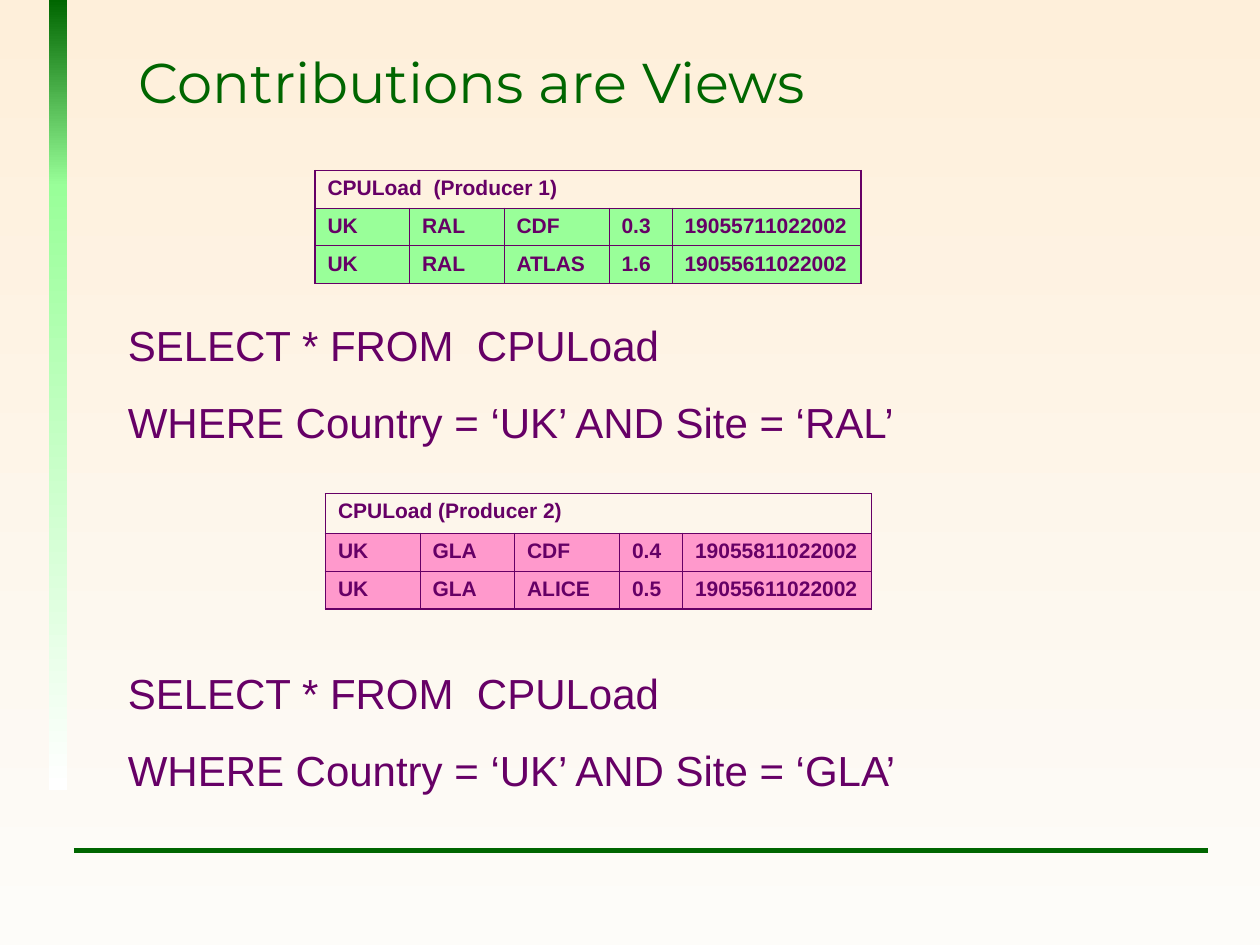
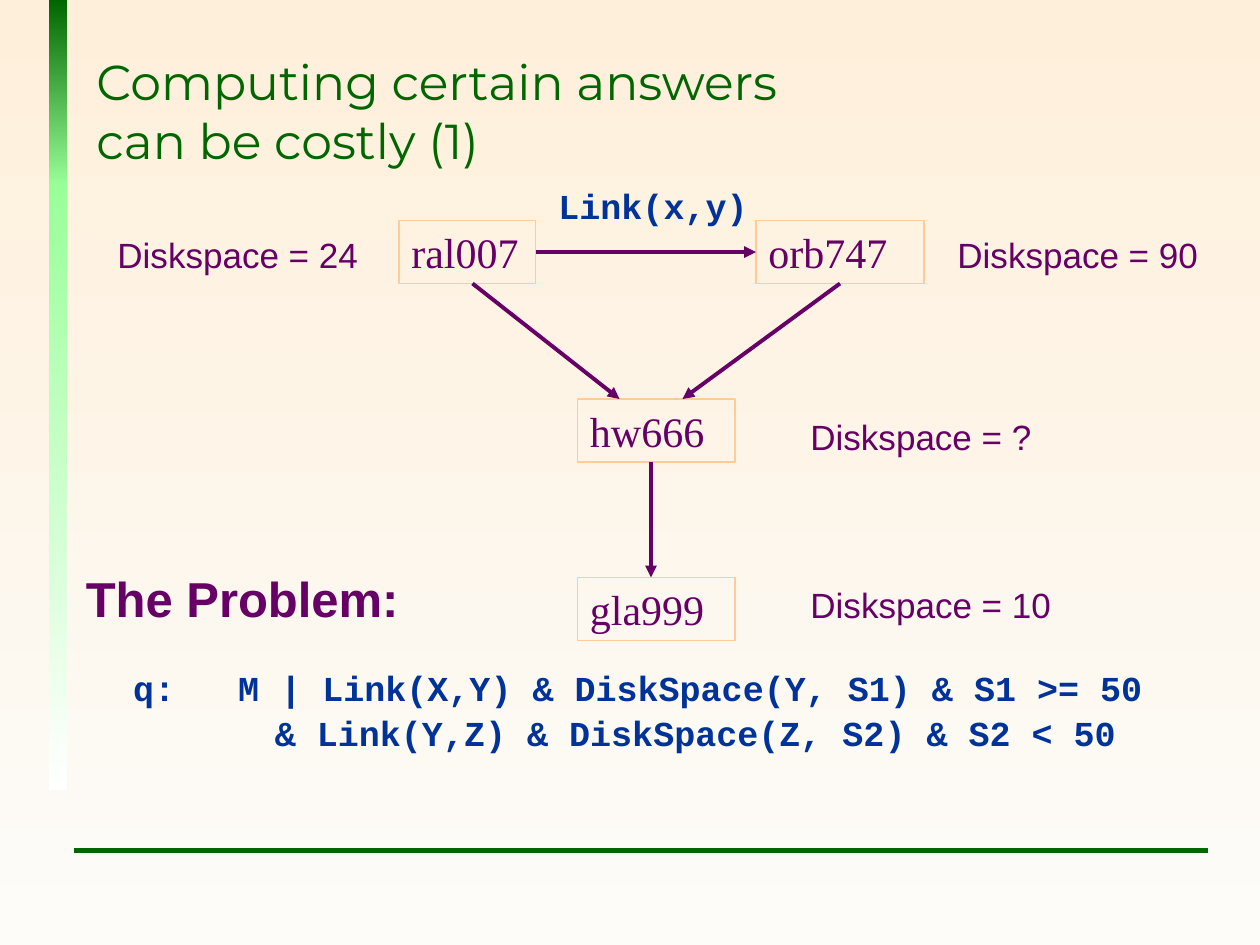
from dataclasses import dataclass

from lxml.etree import SubElement
from pptx import Presentation
from pptx.dml.color import RGBColor as Rgb
from pptx.enum.shapes import MSO_CONNECTOR as Connector, MSO_SHAPE as Shape
from pptx.enum.text import MSO_ANCHOR as Anchor
from pptx.oxml.ns import qn
from pptx.util import Pt


@dataclass(frozen=True)
class Theme:
    green: str = "006600"
    light_green: str = "99FF99"
    white: str = "FFFFFF"
    purple: str = "660066"
    pink: str = "FF99CC"
    blue: str = "003399"
    peach: str = "FFCC99"
    sky: str = "FEEFDA"
    ground: str = "FDFCF9"
    heading: str = "Montserrat"
    body: str = "Arial"
    code: str = "Courier New"
    host: str = "Times New Roman"
    title: int = 32
    subtitle: int = 28
    large: int = 24
    medium: int = 20
    small: int = 12


THEME = Theme()

# Content: slide 1
VIEWS_TITLE = "Contributions are Views"
COLUMN_WIDTHS = (54, 54, 60, 36, 108)
ROW_HEIGHT = 21.5
PRODUCERS = [
    dict(heading="CPULoad  (Producer 1)", at=(180, 97.2), heading_height=21.6,
         fill=THEME.light_green, query_top=179,
         rows=[("UK", "RAL", "CDF", "0.3", "19055711022002"),
               ("UK", "RAL", "ATLAS", "1.6", "19055611022002")],
         query=["SELECT * FROM  CPULoad", "WHERE Country = ‘UK’ AND Site = ‘RAL’"]),
    dict(heading="CPULoad (Producer 2)", at=(186, 282), heading_height=22.6,
         fill=THEME.pink, query_top=378,
         rows=[("UK", "GLA", "CDF", "0.4", "19055811022002"),
               ("UK", "GLA", "ALICE", "0.5", "19055611022002")],
         query=["SELECT * FROM  CPULoad", "WHERE Country = ‘UK’ AND Site = ‘GLA’"]),
]

# Content: slide 2
COSTLY_TITLE = "Computing certain answers \ncan be costly (1)"
HOST_HEIGHT = 36
HOSTS = {  # name: left, top, width
    "ral007": (228, 126, 78),
    "orb747": (432, 126, 96),
    "hw666": (330, 228, 90),
    "gla999": (330, 330, 90),
}
LINKS = [  # start, end, (host, side) joined at the start, and at the end
    ((306, 144), (432, 144), ("ral007", 3), ("orb747", 1)),
    ((270, 162), (354, 228), None, None),
    ((480, 162), (390, 228), ("orb747", 2), None),
    ((372, 264), (372, 330), None, None),
]
DISKSPACES = [
    ("Diskspace = 24", (60, 129.6, 156, 32)),
    ("Diskspace = 90", (540, 129.6, 156, 32)),
    ("Diskspace = ?", (456, 234, 144, 32)),
    ("Diskspace = 10", (456, 330, 156, 32)),
]
LINK_LABEL = ("Link(x,y)", (312, 102, 126, 32))
PROBLEM = "The Problem:"
PROBLEM_QUERY = [  # text, left indent, space before
    ("q:   M | Link(X,Y) & DiskSpace(Y, S1) & S1 >= 50", 27, 22.4),
    ("& Link(Y,Z) & DiskSpace(Z, S2) & S2 < 50", 108, 1.3),
]


def points(values):
    return [Pt(value) for value in values]


def paint_gradient(fill, *colors):
    fill.gradient()
    fill.gradient_angle = 270
    for stop, color in zip(fill.gradient_stops, colors):
        stop.color.rgb = Rgb.from_string(color)


def write(frame, text, *, size, font=THEME.body, color=THEME.purple, bold=False,
          anchor=Anchor.TOP, space_before=0, indent=0, more=False):
    """Write one paragraph; more=True adds it after those already there."""
    frame.word_wrap = True
    frame.vertical_anchor = anchor
    paragraph = frame.add_paragraph() if more else frame.paragraphs[0]
    paragraph.text = text
    if more:
        paragraph.space_before = Pt(space_before)
    properties = paragraph._p.get_or_add_pPr()
    properties.set("algn", "l")
    if indent:
        properties.set("marL", str(Pt(indent)))
        properties.set("indent", "0")
    for run in paragraph.runs:
        run.font.size = Pt(size)
        run.font.name = font
        run.font.bold = bold
        run.font.color.rgb = Rgb.from_string(color)


def add_text(slide, text, at, **style):
    frame = slide.shapes.add_textbox(*points(at)).text_frame
    write(frame, text, **style)
    return frame


def add_line(slide, start, end, color, width, arrow=False):
    line = slide.shapes.add_connector(Connector.STRAIGHT, *points(start + end))
    line.line.color.rgb = Rgb.from_string(color)
    line.line.width = Pt(width)
    if arrow:
        SubElement(line.line._get_or_add_ln(), qn("a:tailEnd"), type="triangle")
    SubElement(line._element.spPr, qn("a:effectLst"))
    return line


def add_framed_slide(deck, title, at, size):
    """Blank slide with the side band, the footer rule and a title."""
    slide = deck.slides.add_slide(deck.slide_layouts[6])
    bands = [((28, 0, 10.2, 106.5), THEME.green, THEME.light_green),
             ((28, 105, 10.2, 346.5), THEME.light_green, THEME.white)]
    for place, upper, lower in bands:
        band = slide.shapes.add_shape(Shape.RECTANGLE, *points(place))
        band.shadow.inherit = False
        band.line.fill.background()
        paint_gradient(band.fill, upper, lower)
    add_line(slide, (42.25, 486), (690.25, 486), THEME.green, 3)
    add_text(slide, title, at, size=size, font=THEME.heading,
             color=THEME.green, anchor=Anchor.MIDDLE)
    return slide


def set_borders(cell, **widths):
    properties = cell._tc.get_or_add_tcPr()
    for side in "LRTB":
        edge = SubElement(properties, qn(f"a:ln{side}"), w=str(Pt(widths[side])))
        SubElement(SubElement(edge, qn("a:solidFill")), qn("a:srgbClr"), val=THEME.purple)


def add_producer_table(slide, producer):
    inner, outer = 0.45, 1.08
    rows = [(producer["heading"], "", "", "", "")] + producer["rows"]
    heights = [producer["heading_height"]] + [ROW_HEIGHT] * len(producer["rows"])
    size = (sum(COLUMN_WIDTHS), sum(heights))
    table = slide.shapes.add_table(len(rows), len(COLUMN_WIDTHS),
                                   *points(producer["at"] + size)).table
    table.first_row = table.horz_banding = False
    for column, width in zip(table.columns, COLUMN_WIDTHS):
        column.width = Pt(width)
    last_row, last_column = len(rows) - 1, len(COLUMN_WIDTHS) - 1
    for r, values in enumerate(rows):
        table.rows[r].height = Pt(heights[r])
        for c, value in enumerate(values):
            cell = table.cell(r, c)
            set_borders(cell, L=outer if c == 0 else inner,
                        R=outer if r == 0 or c == last_column else inner,
                        T=inner, B=outer if r == last_row else inner)
            if r == 0:
                cell.fill.background()
            else:
                cell.fill.solid()
                cell.fill.fore_color.rgb = Rgb.from_string(producer["fill"])
            if value:
                write(cell.text_frame, value, size=THEME.small, bold=True)
    table.cell(0, 0).merge(table.cell(0, last_column))


def build_views(deck):
    slide = add_framed_slide(deck, VIEWS_TITLE, (72, 18, 480, 57), THEME.title)
    for producer in PRODUCERS:
        add_producer_table(slide, producer)
        select, where = producer["query"]
        frame = add_text(slide, select, (66, producer["query_top"], 510, 80),
                         size=THEME.large)
        write(frame, where, size=THEME.large, space_before=15, more=True)


def build_costly(deck):
    slide = add_framed_slide(deck, COSTLY_TITLE, (48, 36, 660, 54), THEME.subtitle)

    # Hosts and the links between them
    hosts = {}
    for name, place in HOSTS.items():
        host = slide.shapes.add_shape(Shape.RECTANGLE, *points(place + (HOST_HEIGHT,)))
        host.shadow.inherit = False
        host.fill.background()
        host.line.color.rgb = Rgb.from_string(THEME.peach)
        host.line.width = Pt(0.75)
        write(host.text_frame, name, size=THEME.large, font=THEME.host)
        hosts[name] = host
    for start, end, source, target in LINKS:
        link = add_line(slide, start, end, THEME.purple, 2.25, arrow=True)
        if source:
            link.begin_connect(hosts[source[0]], source[1])
        if target:
            link.end_connect(hosts[target[0]], target[1])

    # Labels
    for text, place in DISKSPACES:
        add_text(slide, text, place, size=THEME.medium)
    code = dict(size=THEME.medium, font=THEME.code, color=THEME.blue, bold=True)
    add_text(slide, *LINK_LABEL, **code)

    # Problem and its query
    frame = add_text(slide, PROBLEM, (42, 321.6, 648, 158), size=THEME.subtitle, bold=True)
    for text, indent, gap in PROBLEM_QUERY:
        write(frame, text, indent=indent, space_before=gap, more=True, **code)


def main():
    deck = Presentation()
    deck.slide_width, deck.slide_height = Pt(720), Pt(540)
    paint_gradient(deck.slide_master.background.fill, THEME.sky, THEME.ground)
    build_views(deck)
    build_costly(deck)
    deck.save("out.pptx")


if __name__ == "__main__":
    main()
